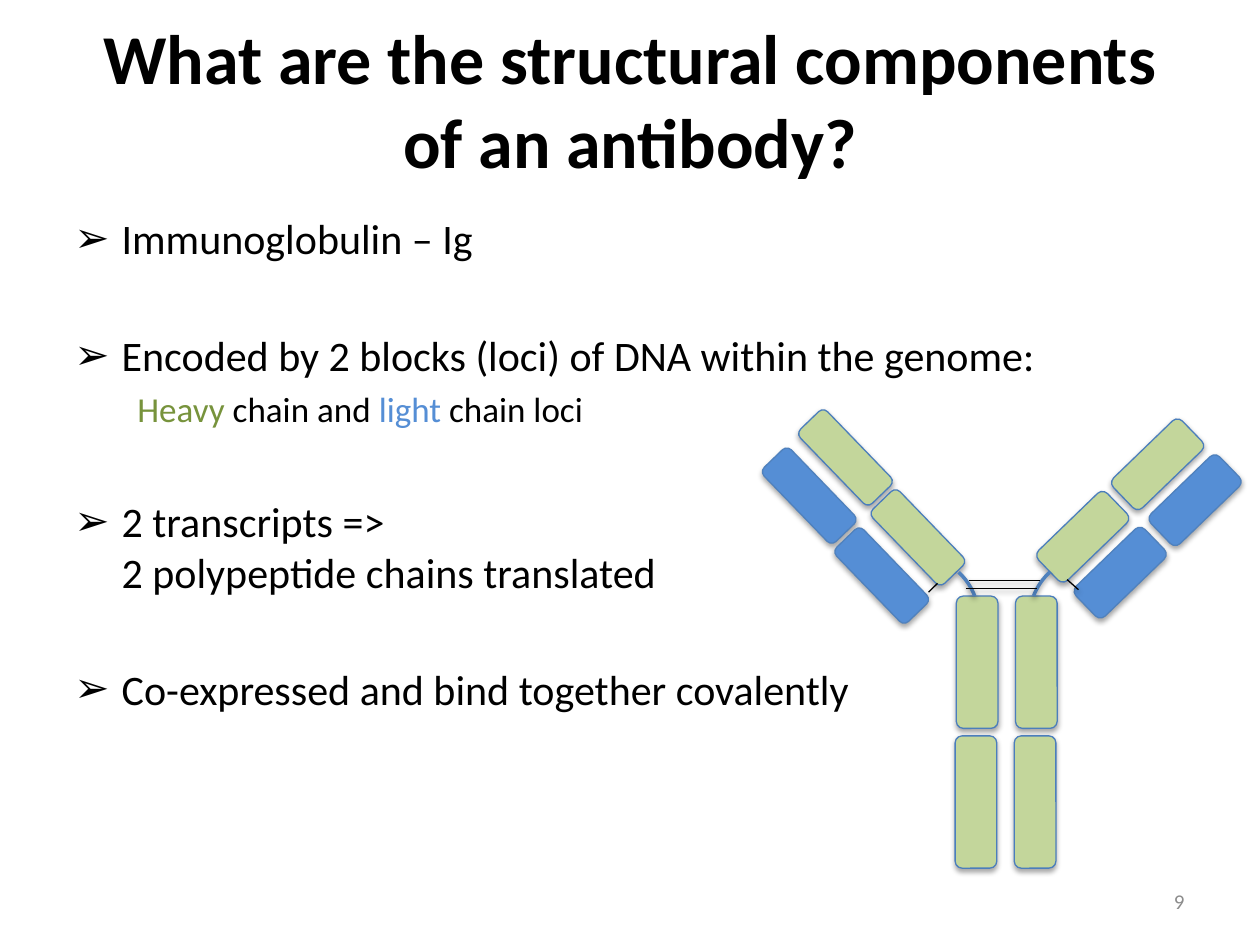
from lxml.etree import SubElement
from pptx import Presentation
from pptx.dml.color import RGBColor
from pptx.enum.shapes import MSO_CONNECTOR, MSO_SHAPE
from pptx.enum.text import MSO_ANCHOR, MSO_AUTO_SIZE, PP_ALIGN
from pptx.oxml.ns import qn
from pptx.util import Pt

BLACK = RGBColor(0x00, 0x00, 0x00)
GREY = RGBColor(0x8C, 0x8C, 0x8C)
HEAVY_TEXT = RGBColor(0x77, 0x93, 0x3C)
HEAVY = RGBColor(0xC3, 0xD6, 0x9B)
HEAVY_LINE = RGBColor(0x4B, 0x7E, 0xBC)
LIGHT = RGBColor(0x55, 0x8E, 0xD5)
LIGHT_LINE = RGBColor(0x4F, 0x81, 0xBD)
FONT = "Calibri"

# Content
TITLE = "What are the structural components of an antibody?"
PAGE = "9"
# (level, space before, [(text, colour), ...])
BODY = [
    (0, 0, [("Immunoglobulin – Ig", BLACK)]),
    (0, 38, [("Encoded by 2 blocks (loci) of DNA within the genome:", BLACK)]),
    (1, 4, [("Heavy", HEAVY_TEXT), (" chain and ", BLACK),
            ("light ", LIGHT), ("chain loci", BLACK)]),
    (0, 38, [("2 transcripts =>\n2 polypeptide chains translated", BLACK)]),
    (0, 38, [("Co-expressed and bind together covalently", BLACK)]),
]
SIZES = (24, 20)

# Arms: centre of outer light domain, step to inner domain,
# offset from light to heavy chain, domain size, rotation
ARMS = [
    ((682.9, 285.8), (-42.8, 41.4), (-21.4, -20.5), (23.8, 54.7), 226),
    ((462.4, 283.2), (41.4, 45.7), (20.7, -21.8), (21.6, 59), 136),
]
# Stem: centre of the first domain, gap between chains, step down, size
STEM_START, STEM_GAP, STEM_STEP, STEM_SIZE = (558.4, 378.4), 33.8, (-0.7, 79.9), (23.8, 75.6)
# Hinges: left edge, rotation, mirrored
HINGES = [(487.4, 42.7, False), (588.2, 317.3, True)]
HINGE_TOP, HINGE_SIZE = 317.5, 72
HINGE_ANGLES = (270, 296.28)
# Disulfide bonds: x1, y1, x2, y2
BONDS = [
    (553.7, 331.9, 594, 331.9),
    (552.2, 336.2, 592.6, 336.2),
    (609.8, 331.2, 616.3, 337),
    (535.7, 333.4, 530.6, 338.4),
]


def style_run(r, size, color, bold=False):
    r.font.name, r.font.size, r.font.bold = FONT, Pt(size), bold
    r.font.color.rgb = color


def place(s, left, top, width, height):
    s.left, s.top, s.width, s.height = Pt(left), Pt(top), Pt(width), Pt(height)


def set_bullet(p, level):
    pPr = p._p.get_or_add_pPr()
    margin, indent = ((Pt(27), -Pt(27)), (Pt(36), 0))[level]
    pPr.set("marL", str(margin))
    pPr.set("indent", str(indent))
    if level:
        SubElement(pPr, qn("a:buNone"))
    else:
        SubElement(pPr, qn("a:buChar"), char="➢")


def add_shadow(s, dist, alpha):
    spPr = s._element.spPr
    effects = spPr.find(qn("a:effectLst"))
    if effects is None:
        effects = SubElement(spPr, qn("a:effectLst"))
    shadow = SubElement(effects, qn("a:outerShdw"), blurRad=str(Pt(3.1)),
                        dist=str(Pt(dist)), dir="5400000", rotWithShape="0")
    color = SubElement(shadow, qn("a:srgbClr"), val="000000")
    SubElement(color, qn("a:alpha"), val=str(alpha * 1000))


def set_line(s, color, width):
    s.line.color.rgb, s.line.width = color, Pt(width)


def add_domain(shapes, center, size, fill, line, rotation=0):
    (x, y), (w, h) = center, size
    s = shapes.add_shape(MSO_SHAPE.ROUNDED_RECTANGLE,
                         Pt(x - w / 2), Pt(y - h / 2), Pt(w), Pt(h))
    s.rotation = rotation
    s.fill.solid()
    s.fill.fore_color.rgb = fill
    set_line(s, line, 0.75)
    s.shadow.inherit = False
    add_shadow(s, 1.8, 35)


def add_antibody(slide):
    shapes = slide.shapes.add_group_shape().shapes

    # Arms
    for (x, y), (dx, dy), (hx, hy), size, rotation in ARMS:
        for k, fill, line in ((0, LIGHT, LIGHT_LINE), (1, HEAVY, HEAVY_LINE)):
            for i in range(2):
                center = (x + i * dx + k * hx, y + i * dy + k * hy)
                add_domain(shapes, center, size, fill, line, rotation)

    # Stem
    for row in range(2):
        for col in range(2):
            center = (STEM_START[0] + col * STEM_GAP + row * STEM_STEP[0],
                      STEM_START[1] + row * STEM_STEP[1])
            add_domain(shapes, center, STEM_SIZE, HEAVY, HEAVY_LINE)

    # Hinges
    for left, rotation, mirrored in HINGES:
        s = shapes.add_shape(MSO_SHAPE.ARC, Pt(left), Pt(HINGE_TOP),
                             Pt(HINGE_SIZE), Pt(HINGE_SIZE))
        for i, angle in enumerate(HINGE_ANGLES):
            s.adjustments[i] = angle * 60000 / 100000
        s.rotation = rotation
        if mirrored:
            s._element.spPr.xfrm.set("flipH", "1")
        s.fill.background()
        set_line(s, LIGHT_LINE, 2)
        s.shadow.inherit = False
        add_shadow(s, 1.6, 38)

    # Disulfide bonds
    for bond in BONDS:
        s = shapes.add_connector(MSO_CONNECTOR.STRAIGHT, *map(Pt, bond))
        set_line(s, BLACK, 0.75)
        add_shadow(s, 1.6, 38)


def main():
    prs = Presentation()
    prs.slide_width, prs.slide_height = Pt(720), Pt(540)
    slide = prs.slides.add_slide(prs.slide_layouts[1])

    # Title
    title = slide.shapes.title
    place(title, 36, 11.5, 648, 90)
    tf = title.text_frame
    tf.text = TITLE
    tf.auto_size, tf.vertical_anchor = MSO_AUTO_SIZE.NONE, MSO_ANCHOR.MIDDLE
    tf.paragraphs[0].alignment = PP_ALIGN.CENTER
    style_run(tf.paragraphs[0].runs[0], 40, BLACK, bold=True)

    # Bulleted list
    body = slide.placeholders[1]
    place(body, 35.3, 118.1, 660.2, 395.3)
    tf = body.text_frame
    tf.auto_size = MSO_AUTO_SIZE.NONE
    for i, (level, before, pieces) in enumerate(BODY):
        p = tf.paragraphs[0] if i == 0 else tf.add_paragraph()
        p.level, p.space_before = level, Pt(before)
        set_bullet(p, level)
        for text, color in pieces:
            for n, part in enumerate(text.split("\n")):
                if n:
                    p.add_line_break()
                r = p.add_run()
                r.text = part
                style_run(r, SIZES[level], color)

    # Page number
    number = slide.shapes.add_textbox(Pt(516.2), Pt(500.4), Pt(167.8), Pt(28.8))
    tf = number.text_frame
    tf.word_wrap, tf.vertical_anchor = True, MSO_ANCHOR.MIDDLE
    tf.text = PAGE
    tf.paragraphs[0].alignment = PP_ALIGN.RIGHT
    style_run(tf.paragraphs[0].runs[0], 12, GREY)

    add_antibody(slide)
    prs.save("out.pptx")


if __name__ == "__main__":
    main()
